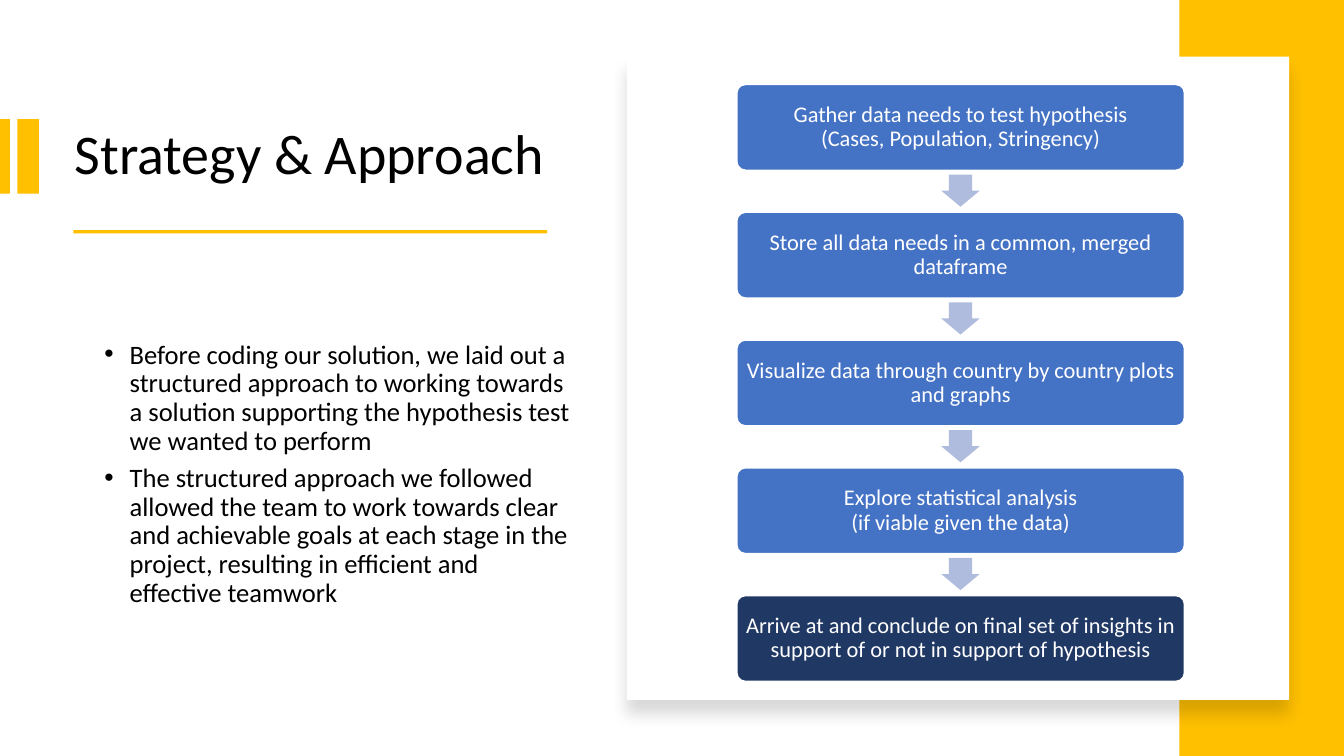
from lxml.etree import SubElement
from pptx import Presentation
from pptx.dml.color import RGBColor
from pptx.enum.shapes import MSO_SHAPE as Shape
from pptx.enum.text import MSO_ANCHOR as Anchor, MSO_AUTO_SIZE as AutoSize, PP_ALIGN as Align
from pptx.oxml.ns import qn
from pptx.util import Cm, Pt

COLOURS = {
    "gold": "FFC000",
    "white": "FFFFFF",
    "black": "000000",
    "blue": "4472C4",
    "navy": "203864",
    "arrow": "B0BCDE",
}

STEPS = [
    "Gather data needs to test hypothesis\v(Cases, Population, Stringency)",
    "Store all data needs in a common, merged dataframe",
    "Visualize data through country by country plots and graphs",
    "Explore statistical analysis\v(if viable given the data)",
    "Arrive at and conclude on final set of insights in support of or not in support of hypothesis",
]

BULLETS = [
    "Before coding our solution, we laid out a structured approach to working towards "
    "a solution supporting the hypothesis test we wanted to perform",
    "The structured approach we followed allowed the team to work towards clear and "
    "achievable goals at each stage in the project, resulting in efficient and effective teamwork",
]


class SlideBuilder:
    font_name = "Calibri"

    def __init__(self, deck):
        self.page = deck.slides.add_slide(deck.slide_layouts[5])

    def colour(self, name):
        return RGBColor.from_string(COLOURS[name])

    def fill_text(self, frame, lines, size, colour, align=Align.LEFT):
        frame.word_wrap = True
        frame.auto_size = AutoSize.NONE
        frame.vertical_anchor = Anchor.MIDDLE
        for index, line in enumerate(lines):
            para = frame.paragraphs[0] if index == 0 else frame.add_paragraph()
            para.text = line
            para.alignment = align
            para.line_spacing = 0.9
            para.font.name = self.font_name
            para.font.size = Pt(size)
            para.font.color.rgb = self.colour(colour)

    def title(self, text, left, top, width, height):
        box = self.page.shapes.title
        box.left, box.top, box.width, box.height = map(Cm, (left, top, width, height))
        self.fill_text(box.text_frame, [text], 40, "black")

    def shape(self, kind, left, top, width, height, fill):
        box = self.page.shapes.add_shape(kind, *map(Cm, (left, top, width, height)))
        box.shadow.inherit = False
        box.fill.solid()
        box.fill.fore_color.rgb = self.colour(fill)
        box.line.fill.background()
        return box

    def card(self, left, top, width, height):
        box = self.shape(Shape.RECTANGLE, left, top, width, height, "white")
        effects = box._element.spPr.find(qn("a:effectLst"))
        shadow = SubElement(effects, qn("a:outerShdw"), blurRad=str(Pt(11)),
                            dist=str(Pt(10)), dir="5400000", algn="t", rotWithShape="0")
        tint = SubElement(shadow, qn("a:srgbClr"), val=COLOURS["black"])
        SubElement(tint, qn("a:alpha"), val="15000")

    def step(self, text, left, top, width, height, fill):
        box = self.shape(Shape.ROUNDED_RECTANGLE, left, top, width, height, fill)
        box.adjustments[0] = 0.1
        box.line.color.rgb = self.colour("white")
        box.line.width = Pt(1)
        frame = box.text_frame
        frame.margin_left = frame.margin_right = Cm(0.17)
        frame.margin_top = frame.margin_bottom = Cm(0.17)
        self.fill_text(frame, [text], 16, "white", Align.CENTER)

    def arrow(self, left, top, width, height):
        box = self.shape(Shape.RIGHT_ARROW, left, top, width, height, "arrow")
        box.rotation = 90
        box.adjustments[0] = 0.6
        box.adjustments[1] = 0.5

    def bullets(self, lines, left, top, width, height):
        box = self.page.shapes.add_textbox(*map(Cm, (left, top, width, height)))
        self.fill_text(box.text_frame, lines, 19, "black")
        for para in box.text_frame.paragraphs:
            para.space_after = Pt(6)
            props = para._p.get_or_add_pPr()
            props.set("marL", str(Cm(0.96)))
            props.set("indent", str(Cm(-0.64)))
            bullet_font = props.makeelement(qn("a:buFont"), {"typeface": "Arial"})
            bullet = props.makeelement(qn("a:buChar"), {"char": "•"})
            run_props = props.find(qn("a:defRPr"))
            run_props.addprevious(bullet_font)
            run_props.addprevious(bullet)


def main():
    deck = Presentation()
    deck.slide_width, deck.slide_height = Cm(33.87), Cm(19.05)
    slide = SlideBuilder(deck)

    slide.title("Strategy & Approach", 1.63, 2.39, 12.67, 3.12)
    for left, top, width, height in [
        (0, 3, 0.25, 1.88),
        (0.44, 3, 0.54, 1.88),
        (1.85, 5.8, 11.94, 0.08),
        (29.72, 0, 4.15, 19.05),
    ]:
        slide.shape(Shape.RECTANGLE, left, top, width, height, "gold")
    slide.card(15.8, 1.43, 16.69, 16.21)

    first_top, pitch = 2.13, 3.22
    last = len(STEPS) - 1
    for index, text in enumerate(STEPS):
        top = first_top + index * pitch
        slide.step(text, 18.57, top, 11.28, 2.16, "navy" if index == last else "blue")
        if index < last:
            slide.arrow(23.8, top + 2.19, 0.81, 0.97)

    slide.bullets(BULLETS, 2.06, 6.91, 12.67, 10.1)
    deck.save("out.pptx")


if __name__ == "__main__":
    main()
